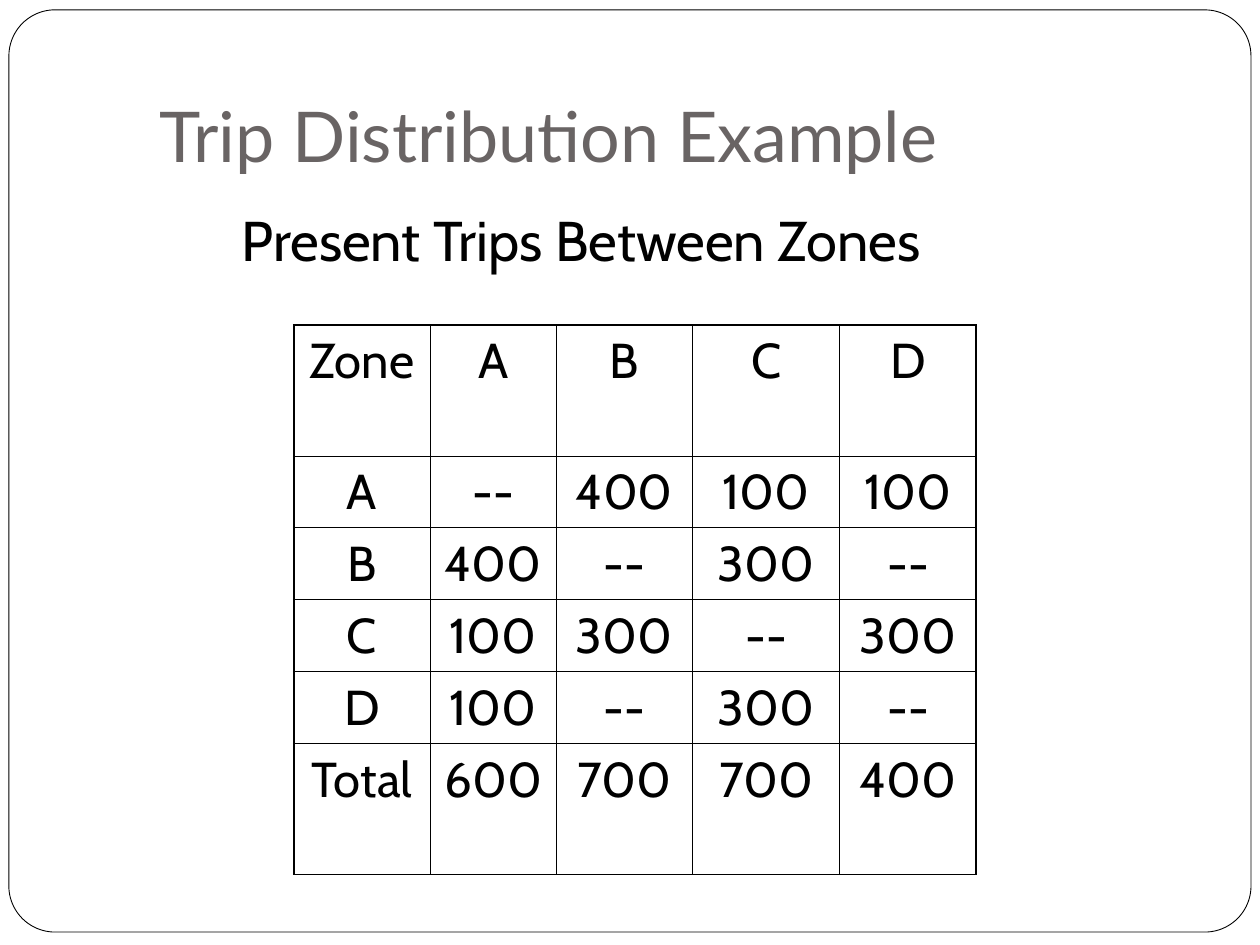
import pptx
import pptx.dml.color
import pptx.enum.shapes
import pptx.enum.text
import pptx.oxml
import pptx.oxml.ns
import pptx.util
from pptx.util import Cm

# Content
TITLE = "Trip Distribution Example"
SUBTITLE = "Present Trips Between Zones"
TRIPS = [
    ("Zone", "A", "B", "C", "D"),
    ("A", "--", "400", "100", "100"),
    ("B", "400", "--", "300", "--"),
    ("C", "100", "300", "--", "300"),
    ("D", "100", "--", "300", "--"),
    ("Total", "600", "700", "700", "400"),
]

# Format
COLOURS = {"paper": "FFFFFF", "ink": "000000", "title": "696464"}
TITLE_FONT = {"name": "Lato", "size": pptx.util.Pt(40)}
SUBTITLE_FONT = {"name": "Cabin", "size": pptx.util.Pt(32)}
TABLE_FONT = {"name": "Cabin", "size": pptx.util.Pt(28)}
COLUMN_WIDTHS = [2.75, 2.54, 2.75, 2.97, 2.75]
END_ROW, INNER_ROW = 2.64, 1.45
OUTER_BORDER, INNER_BORDER = 1.08, 0.45


def colour(name):
    return pptx.dml.color.RGBColor.from_string(COLOURS[name])


def apply(target, values):
    for name, value in values.items():
        setattr(target, name, value)


def write(paragraph, text, font, colour_name):
    run = paragraph.add_run()
    run.text = text
    apply(run.font, font)
    run.font.color.rgb = colour(colour_name)


def add_text(slide, box, text, font, colour_name, frame_format):
    frame = slide.shapes.add_textbox(*map(Cm, box)).text_frame
    apply(frame, {"word_wrap": True, **frame_format})
    write(frame.paragraphs[0], text, font, colour_name)


def set_borders(cell, widths):
    properties = cell._tc.get_or_add_tcPr()
    for position, (side, width) in enumerate(widths.items()):
        line = pptx.oxml.parse_xml(
            f'<a:{side} {pptx.oxml.ns.nsdecls("a")} w="{pptx.util.Pt(width)}">'
            f'<a:solidFill><a:srgbClr val="{COLOURS["ink"]}"/></a:solidFill>'
            f'</a:{side}>')
        properties.insert(position, line)


def add_trip_table(slide):
    heights = [END_ROW] + [INNER_ROW] * (len(TRIPS) - 2) + [END_ROW]
    last_row, last_column = len(TRIPS) - 1, len(COLUMN_WIDTHS) - 1
    table = slide.shapes.add_table(
        len(TRIPS), len(COLUMN_WIDTHS), Cm(5.92), Cm(6.55),
        Cm(sum(COLUMN_WIDTHS)), Cm(sum(heights))).table
    apply(table, {"first_row": False, "horz_banding": False})
    for column, width in zip(table.columns, COLUMN_WIDTHS):
        column.width = Cm(width)
    for row, height in zip(table.rows, heights):
        row.height = Cm(height)

    for i, values in enumerate(TRIPS):
        for j, text in enumerate(values):
            cell = table.cell(i, j)
            cell.fill.background()
            paragraph = cell.text_frame.paragraphs[0]
            paragraph.alignment = pptx.enum.text.PP_ALIGN.CENTER
            write(paragraph, text, TABLE_FONT, "ink")
            on_edge = {"lnL": j == 0, "lnR": j == last_column,
                       "lnT": i == 0, "lnB": i == last_row}
            set_borders(cell, {side: OUTER_BORDER if edge else INNER_BORDER
                               for side, edge in on_edge.items()})


def main():
    presentation = pptx.Presentation()
    apply(presentation, {"slide_width": Cm(25.4), "slide_height": Cm(19.05)})
    slide = presentation.slides.add_slide(presentation.slide_layouts[6])

    # Rounded frame
    frame = slide.shapes.add_shape(
        pptx.enum.shapes.MSO_SHAPE.ROUNDED_RECTANGLE,
        Cm(0.18), Cm(0.2), Cm(25.04), Cm(18.59))
    frame.adjustments[0] = 0.05
    frame.shadow.inherit = False
    frame.fill.solid()
    frame.fill.fore_color.rgb = colour("paper")
    frame.line.color.rgb = colour("ink")
    frame.line.width = pptx.util.Pt(0.5)

    # Title, table and subtitle
    add_text(slide, (2.97, 0.43, 21.79, 3.38), TITLE, TITLE_FONT, "title",
             {"vertical_anchor": pptx.enum.text.MSO_ANCHOR.BOTTOM,
              "margin_bottom": Cm(0.25)})
    add_trip_table(slide)
    add_text(slide, (4.62, 4.01, 15.93, 1.63), SUBTITLE, SUBTITLE_FONT, "ink",
             {"auto_size": pptx.enum.text.MSO_AUTO_SIZE.SHAPE_TO_FIT_TEXT})

    presentation.save("out.pptx")


if __name__ == "__main__":
    main()
